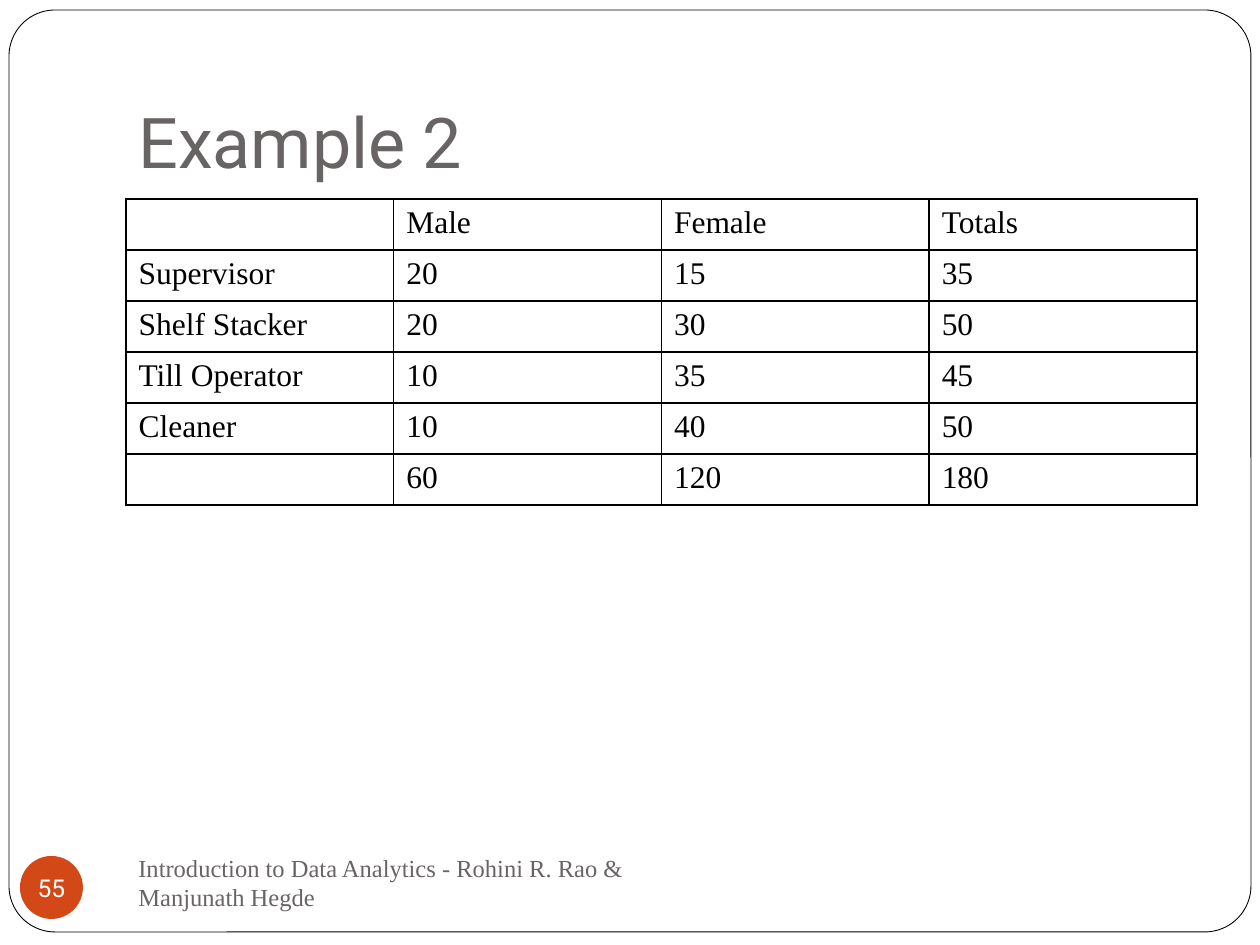
from lxml import etree
from pptx import Presentation
from pptx.dml.color import RGBColor
from pptx.enum.shapes import MSO_SHAPE
from pptx.enum.text import MSO_ANCHOR, PP_ALIGN
from pptx.oxml.ns import qn
from pptx.util import Pt

ROUND, OVAL = MSO_SHAPE.ROUNDED_RECTANGLE, MSO_SHAPE.OVAL
MIDDLE, BOTTOM = MSO_ANCHOR.MIDDLE, MSO_ANCHOR.BOTTOM
CENTER = PP_ALIGN.CENTER
BLACK = RGBColor(0x00, 0x00, 0x00)
WHITE = RGBColor(0xFF, 0xFF, 0xFF)
GRAY = RGBColor(0x69, 0x64, 0x64)
ORANGE = RGBColor(0xD3, 0x48, 0x17)
SANS, SERIF = "Roboto", "Times New Roman"
PX = 914400 // 126


def write(frame, text, size, font, color):
    run = frame.paragraphs[0].add_run()
    run.text = text
    run.font.size = Pt(size)
    run.font.name = font
    run.font.color.rgb = color


def border(cell):
    props = cell._tc.get_or_add_tcPr()
    for place, side in enumerate(("lnL", "lnR", "lnT", "lnB")):
        line = etree.Element(qn("a:" + side), w=str(Pt(1)))
        fill = etree.SubElement(line, qn("a:solidFill"))
        etree.SubElement(fill, qn("a:srgbClr"), val=str(BLACK))
        props.insert(place, line)


deck = Presentation()
deck.slide_width = 1260 * PX
deck.slide_height = 945 * PX
slide = deck.slides.add_slide(deck.slide_layouts[6])
shapes = slide.shapes

frame = shapes.add_shape(ROUND, 9 * PX, 10 * PX, 1242 * PX, 922 * PX)
frame.adjustments[0] = 0.05
frame.shadow.inherit = False
frame.fill.solid()
frame.fill.fore_color.rgb = WHITE
frame.line.color.rgb = BLACK
frame.line.width = Pt(0.5)

title = shapes.add_textbox(126 * PX, 38 * PX, 1071 * PX, 157 * PX).text_frame
title.word_wrap = True
title.vertical_anchor = BOTTOM
title.margin_bottom = Pt(7.2)
write(title, "Example 2", 40, SANS, GRAY)

foot = shapes.add_textbox(126 * PX, 851 * PX, 546 * PX, 63 * PX).text_frame
foot.word_wrap = True
foot.vertical_anchor = MIDDLE
write(foot, "Introduction to Data Analytics - Rohini R. Rao & Manjunath Hegde",
      14, SERIF, GRAY)

badge = shapes.add_shape(OVAL, 20 * PX, 856 * PX, 63 * PX, 63 * PX)
badge.shadow.inherit = False
badge.fill.solid()
badge.fill.fore_color.rgb = ORANGE
badge.line.fill.background()
label = badge.text_frame
label.margin_left = label.margin_right = 0
label.margin_top = label.margin_bottom = 0
label.word_wrap = False
label.vertical_anchor = MIDDLE
label.paragraphs[0].alignment = CENTER
write(label, "55", 14, SANS, WHITE)

rows = [
    ("", "Male", "Female", "Totals"),
    ("Supervisor", "20", "15", "35"),
    ("Shelf Stacker", "20", "30", "50"),
    ("Till Operator", "10", "35", "45"),
    ("Cleaner", "10", "40", "50"),
    ("", "60", "120", "180"),
]
table = shapes.add_table(len(rows), len(rows[0]), 126 * PX, 199 * PX,
                         1071 * PX, 306 * PX).table
table.first_row = False
table.horz_banding = False
for row, texts in enumerate(rows):
    for col, text in enumerate(texts):
        cell = table.cell(row, col)
        cell.fill.background()
        border(cell)
        if text:
            write(cell.text_frame, text, 18, SERIF, BLACK)

deck.save("out.pptx")
